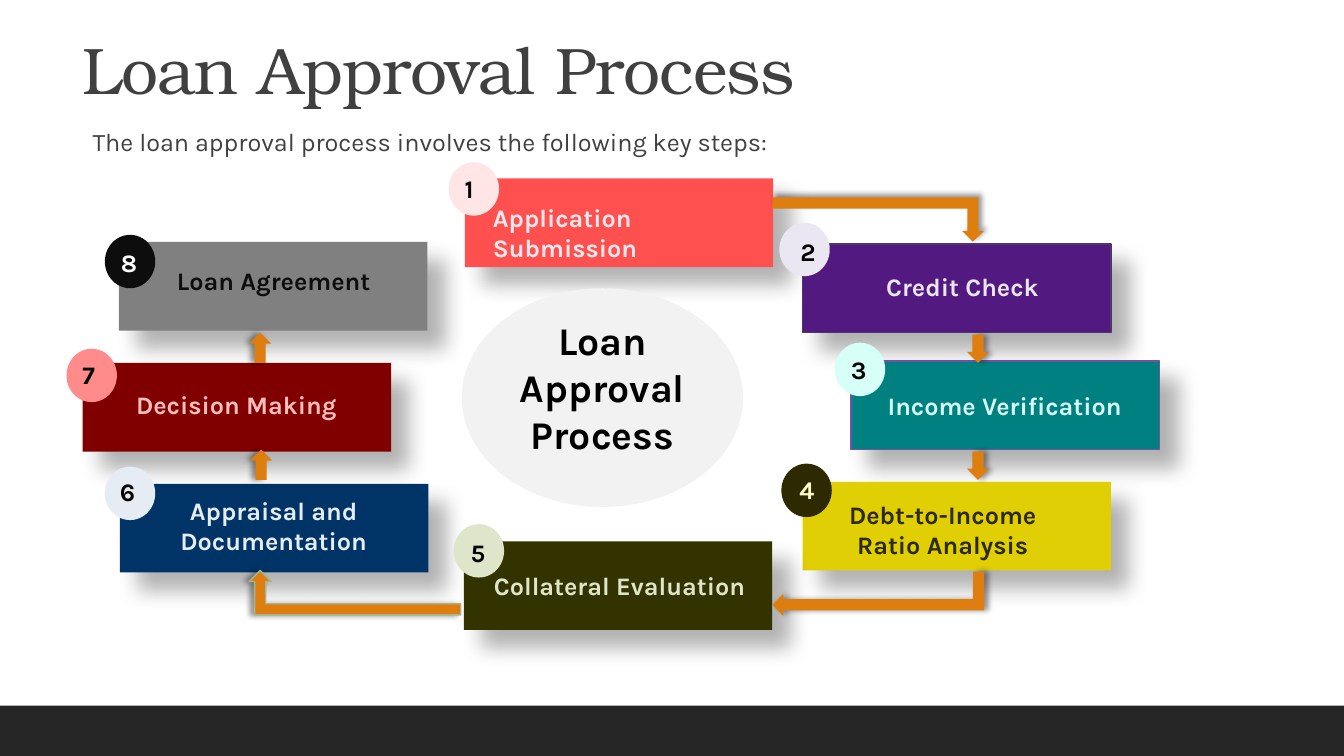
from collections import namedtuple

from lxml import etree
from pptx import Presentation
from pptx.dml.color import RGBColor
from pptx.enum.shapes import MSO_SHAPE as Preset
from pptx.enum.text import MSO_AUTO_SIZE as AutoSize, PP_ALIGN as Align
from pptx.oxml.ns import qn
from pptx.util import Inches, Pt

BODY_FONT, TITLE_FONT = "Karla", "TeX Gyre Bonum"
BLACK = RGBColor(0, 0, 0)
WHITE = RGBColor(0xFF, 0xFF, 0xFF)
GREY_TEXT = RGBColor(0x40, 0x40, 0x40)
FOOTER = RGBColor(0x26, 0x26, 0x26)
HUB = RGBColor(0xF2, 0xF2, 0xF2)
ORANGE = RGBColor(0xDD, 0x7E, 0x0E)
SAGE = RGBColor(0xA5, 0xB5, 0x92)
CORAL, BLUSH = RGBColor(0xFF, 0x50, 0x50), RGBColor(0xFF, 0xE5, 0xE5)
PALE_ROSE = RGBColor(0xF6, 0xE9, 0xED)
PURPLE, LAVENDER = RGBColor(0x52, 0x19, 0x81), RGBColor(0xEB, 0xE7, 0xF2)
PURPLE_EDGE, VIOLET_EDGE = RGBColor(0x4C, 0x37, 0x6B), RGBColor(0x71, 0x53, 0xA1)
TEAL, MINT = RGBColor(0, 0x80, 0x80), RGBColor(0xD5, 0xFF, 0xF7)
YELLOW, CREAM = RGBColor(0xDF, 0xCF, 0x04), RGBColor(0xFE, 0xFA, 0xC9)
DARK_OLIVE = RGBColor(0x2D, 0x29, 0x01)
OLIVE, PALE_GREEN = RGBColor(0x33, 0x33, 0), RGBColor(0xDF, 0xE5, 0xCA)
NAVY, PALE_BLUE = RGBColor(0, 0x33, 0x66), RGBColor(0xE6, 0xEC, 0xF3)
MAROON, SALMON = RGBColor(0x80, 0, 0), RGBColor(0xFF, 0x8B, 0x8B)
PINK = RGBColor(0xFF, 0xBD, 0xBD)
GREY, NEAR_BLACK = RGBColor(0x80, 0x80, 0x80), RGBColor(0x0D, 0x0D, 0x0D)

BOX_SIZE = (3.06, 0.88)
BADGE_SIZE = (0.5, 0.53)
DIGIT_SIZE = (0.36, 0.4)
BEND_LENGTH, BEND_HEIGHT = 2.1, 0.44

# Shadows: opacity %, blur pt, distance pt, direction in degrees
BOX_SHADOW = (30, 15, 18, 45)

Step = namedtuple("Step", "label box fill edge label_at label_color "
                          "badge badge_fill digit digit_color")
STEPS = [
    Step("Application Submission", (4.61, 1.77), CORAL, None,
         (4.79, 1.96, 2.71, 0.4), PALE_ROSE, (4.45, 1.61), BLUSH, (4.51, 1.67), BLACK),
    Step("Credit Check", (7.96, 2.42), PURPLE, PURPLE_EDGE,
         (8.19, 2.64, 2.71, 0.4), LAVENDER, (7.73, 2.21), LAVENDER, (7.84, 2.3), BLACK),
    Step("Income Verification", (8.44, 3.58), TEAL, VIOLET_EDGE,
         (8.61, 3.82, 2.71, 0.4), MINT, (8.28, 3.4), MINT, (8.34, 3.47), BLACK),
    Step("Debt-to-Income Ratio Analysis", (7.96, 4.78), YELLOW, None,
         (8.02, 4.9, 2.66, 0.71), DARK_OLIVE, (7.75, 4.6), DARK_OLIVE, (7.83, 4.66), CREAM),
    Step("Collateral Evaluation", (4.6, 5.37), OLIVE, None,
         (4.79, 5.61, 2.71, 0.4), PALE_GREEN, (4.5, 5.2), PALE_GREEN, (4.57, 5.28), BLACK),
    Step("Appraisal and Documentation", (1.19, 4.8), NAVY, None,
         (1.53, 4.86, 2.37, 0.71), PALE_BLUE, (1.04, 4.63), PALE_BLUE, (1.09, 4.68), BLACK),
    Step("Decision Making", (0.82, 3.6), MAROON, None,
         (1.11, 3.81, 2.47, 0.4), PINK, (0.66, 3.46), SALMON, (0.72, 3.52), BLACK),
    Step("Loan Agreement", (1.18, 2.4), GREY, None,
         (1.36, 2.58, 2.71, 0.4), NEAR_BLACK, (1.04, 2.33), NEAR_BLACK, (1.1, 2.4), WHITE),
]


def add_shadow(shape, opacity, blur, distance, direction):
    effects = shape._element.spPr.find(qn("a:effectLst"))
    shadow = etree.SubElement(effects, qn("a:outerShdw"), blurRad=str(Pt(blur)),
                              dist=str(Pt(distance)), dir=str(direction * 60000),
                              algn="ctr", rotWithShape="0")
    color = etree.SubElement(shadow, qn("a:srgbClr"), val=str(BLACK))
    etree.SubElement(color, qn("a:alpha"), val=str(opacity * 1000))


def add_shape(slide, preset, at, fill, edge=None, edge_width=1.25, shadow=None):
    shape = slide.shapes.add_shape(preset, *map(Inches, at))
    shape.fill.solid()
    shape.fill.fore_color.rgb = fill
    if edge is None:
        shape.line.fill.background()
    else:
        shape.line.color.rgb = edge
        shape.line.width = Pt(edge_width)
    shape.shadow.inherit = False
    if shadow:
        add_shadow(shape, *shadow)
    return shape


def add_text(slide, text, at, color, size=18, bold=True, align=Align.LEFT,
             name=BODY_FONT, spacing=None):
    """Add a wrapping text box; spacing is the letter spacing in points."""
    frame = slide.shapes.add_textbox(*map(Inches, at)).text_frame
    frame.word_wrap = True
    frame.auto_size = AutoSize.SHAPE_TO_FIT_TEXT
    paragraph = frame.paragraphs[0]
    paragraph.alignment = align
    run = paragraph.add_run()
    run.text = text
    for attribute, value in {"name": name, "size": Pt(size), "bold": bold}.items():
        setattr(run.font, attribute, value)
    run.font.color.rgb = color
    if spacing is not None:
        run.font._element.set("spc", str(int(spacing * 100)))


def add_arrow(slide, preset, at, direction, rotation=0, flip=None, edge=None):
    """Add an orange flow arrow; direction is that of its shadow in degrees."""
    arrow = add_shape(slide, preset, at, ORANGE, edge, 1, (40, 4, 3, direction))
    arrow.rotation = rotation
    if flip:
        arrow._element.spPr.find(qn("a:xfrm")).set(flip, "1")


def add_flow(slide):
    bend = Preset.BENT_UP_ARROW
    add_arrow(slide, bend, (7.66, 1.96, BEND_LENGTH, BEND_HEIGHT), 315, flip="flipV")
    add_arrow(slide, bend, (8.49, 4.84, BEND_HEIGHT, BEND_LENGTH), 0, 270, "flipH")
    add_arrow(slide, bend, (2.47, 5.66, BEND_LENGTH, BEND_HEIGHT), 180, 180, "flipV", SAGE)
    for left, top in ((2.47, 3.3), (2.48, 4.46)):
        add_arrow(slide, Preset.UP_ARROW, (left, top, 0.22, 0.3), 180)
    for top in (3.32, 4.48):
        add_arrow(slide, Preset.DOWN_ARROW, (9.59, top, 0.22, 0.28), 0)


def add_step_box(slide, step, align):
    add_shape(slide, Preset.RECTANGLE, step.box + BOX_SIZE, step.fill, step.edge,
              shadow=BOX_SHADOW)
    add_text(slide, step.label, step.label_at, step.label_color, align=align)


def add_badge(slide, number, step):
    add_shape(slide, Preset.OVAL, step.badge + BADGE_SIZE, step.badge_fill)
    add_text(slide, str(number), step.digit + DIGIT_SIZE, step.digit_color)


def main():
    deck = Presentation()
    deck.slide_width, deck.slide_height = Inches(13.33), Inches(7.5)
    slide = deck.slides.add_slide(deck.slide_layouts[6])

    add_shape(slide, Preset.RECTANGLE, (0, 7, 13.33, 0.5), FOOTER)
    for index, step in enumerate(STEPS):
        add_step_box(slide, step, Align.CENTER if index else Align.LEFT)
    add_flow(slide)
    add_text(slide, "Loan Approval Process", (0.72, 0.24, 10.6, 0.89), GREY_TEXT, 47,
             bold=False, name=TITLE_FONT, spacing=-0.5)
    add_text(slide, "The loan approval process involves the following key steps:",
             (0.82, 1.2, 7.8, 0.4), GREY_TEXT, bold=False)
    for number, step in enumerate(STEPS, 1):
        add_badge(slide, number, step)
    add_shape(slide, Preset.OVAL, (4.58, 2.86, 2.79, 2.17), HUB)
    add_text(slide, "Loan Approval Process", (4.79, 3.09, 2.37, 1.51), BLACK, 28,
             align=Align.CENTER)

    deck.save("out.pptx")


if __name__ == "__main__":
    main()
